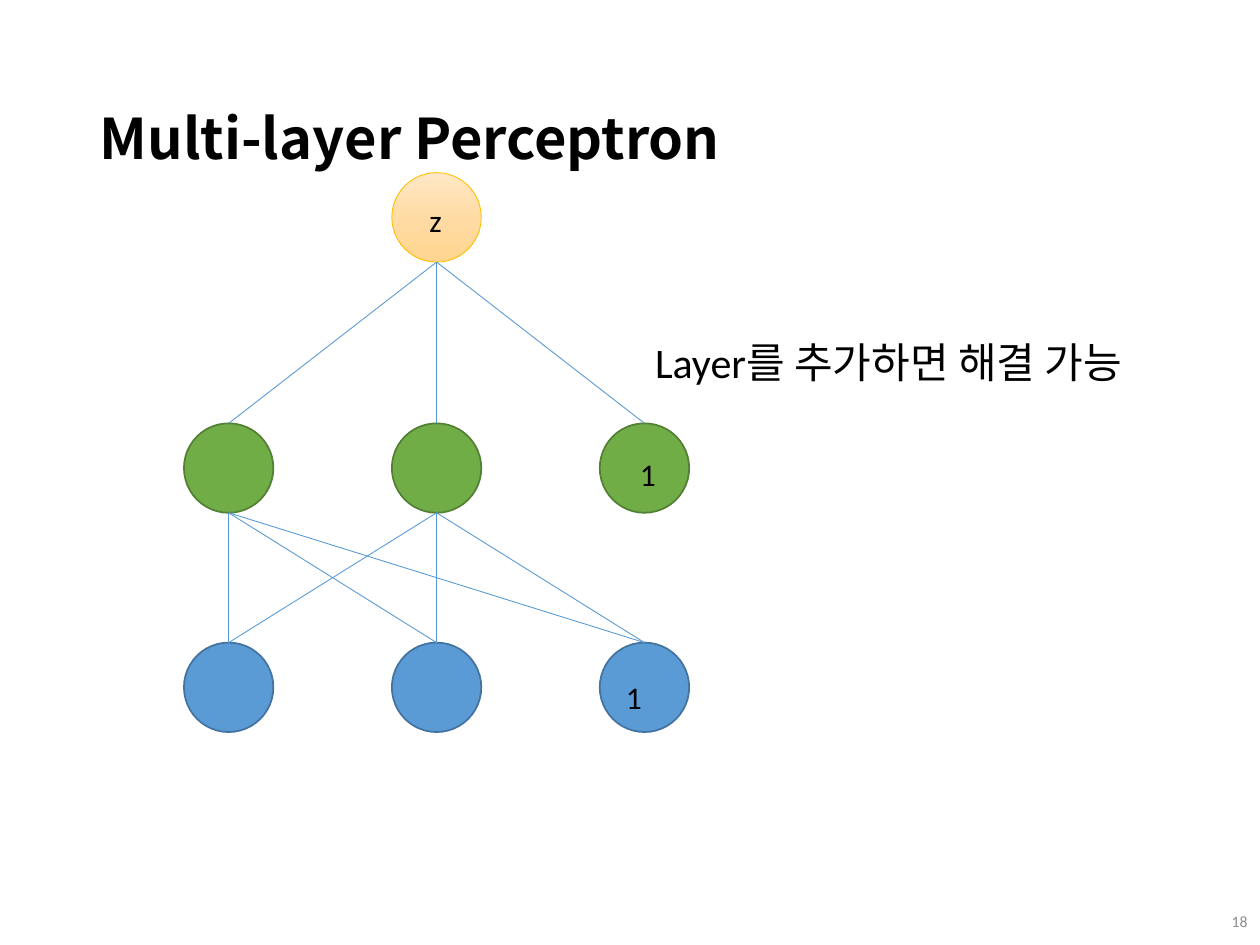
from copy import deepcopy

from lxml.etree import SubElement
from pptx import Presentation
from pptx.dml.color import RGBColor
from pptx.enum.shapes import MSO_CONNECTOR, MSO_SHAPE
from pptx.enum.text import MSO_ANCHOR, MSO_AUTO_SIZE, PP_ALIGN
from pptx.oxml.ns import qn
from pptx.util import Inches, Pt

COLORS = {
    "text": "000000", "page number": "8C8C8C", "link": "5B9BD5",
    "input": "5B9BD5", "input edge": "43739E",
    "hidden": "70AD47", "hidden edge": "538035",
    "output edge": "FFC000",
    "output top": "FFE8C7", "output middle": "FFDBA4", "output bottom": "FFD58F",
}
KOREAN_FONT = "Noto Sans CJK KR"
NODE_SIZE = 0.71
COLUMNS = [1.46, 3.11, 4.76]


def color(name):
    return RGBColor.from_string(COLORS[name])


def add_text(para, text, size, font="Calibri", color_name="text", bold=False):
    span = para.add_run()
    span.text = text
    span.font.size = Pt(size)
    span.font.name = font
    span.font.bold = bold
    span.font.color.rgb = color(color_name)
    SubElement(span.font._element, qn("a:ea"), typeface=KOREAN_FONT)


deck = Presentation()
deck.slide_width, deck.slide_height = Inches(10), Inches(7.5)
page = deck.slides.add_slide(deck.slide_layouts[5])

# Title
title = page.shapes.title
title.left, title.top = Inches(0.69), Inches(0.4)
title.width, title.height = Inches(8.62), Inches(1.45)
title.text_frame.vertical_anchor = MSO_ANCHOR.MIDDLE
para = title.text_frame.paragraphs[0]
para.alignment = PP_ALIGN.LEFT
para.line_spacing = 0.9
add_text(para, "Multi-layer Perceptron", 32, KOREAN_FONT, bold=True)

# Page number
box = page.shapes.add_textbox(Inches(9.46), Inches(7.11), Inches(0.54), Inches(0.4))
box.text_frame.word_wrap = True
box.text_frame.vertical_anchor = MSO_ANCHOR.MIDDLE
para = box.text_frame.paragraphs[0]
para.alignment = PP_ALIGN.RIGHT
add_text(para, "18", 9, color_name="page number")

# Network nodes, one row per layer
layers = {}
for layer, top, columns, edge_width in [
    ("input", 5.1, COLUMNS, 1),
    ("hidden", 3.36, COLUMNS, 1),
    ("output", 1.37, COLUMNS[1:2], 0.5),
]:
    layers[layer] = []
    for left in columns:
        node = page.shapes.add_shape(MSO_SHAPE.OVAL, Inches(left), Inches(top),
                                     Inches(NODE_SIZE), Inches(NODE_SIZE))
        node.shadow.inherit = False
        node.line.color.rgb = color(layer + " edge")
        node.line.width = Pt(edge_width)
        if layer != "output":
            node.fill.solid()
            node.fill.fore_color.rgb = color(layer)
        layers[layer].append(node)

# Three-stop gradient on the output node
output = layers["output"][0]
output.fill.gradient()
output.fill.gradient_angle = 270
stop_list = output._element.spPr.find(qn("a:gradFill")).find(qn("a:gsLst"))
stop_list.insert(1, deepcopy(stop_list[0]))
for stop, position, name in zip(output.fill.gradient_stops, [0, 0.5, 1],
                                ["output top", "output middle", "output bottom"]):
    stop.position = position
    stop.color.rgb = color(name)

# Links from the top of each lower node to the bottom of each upper node
for lower_layer, upper_nodes in [("input", layers["hidden"][:2]),
                                 ("hidden", layers["output"])]:
    for upper in upper_nodes:
        for lower in layers[lower_layer]:
            link = page.shapes.add_connector(
                MSO_CONNECTOR.STRAIGHT,
                lower.left + lower.width // 2, lower.top,
                upper.left + upper.width // 2, upper.top + upper.height)
            link.begin_connect(lower, 0)
            link.line.color.rgb = color("link")
            link.line.width = Pt(0.5)
            SubElement(link._element.spPr, qn("a:effectLst"))

# Node labels and remark
for text, left, top, width, height, size, wrap in [
    ("1", 4.87, 5.33, 0.43, 0.4, 18, True),
    ("1", 4.98, 3.56, 0.34, 0.4, 18, False),
    ("z", 3.31, 1.55, 0.3, 0.4, 18, True),
    ("Layer를 추가하면 해결 가능", 5.1, 2.62, 4.39, 0.5, 24, False),
]:
    box = page.shapes.add_textbox(Inches(left), Inches(top), Inches(width), Inches(height))
    box.text_frame.word_wrap = wrap
    box.text_frame.auto_size = MSO_AUTO_SIZE.SHAPE_TO_FIT_TEXT
    add_text(box.text_frame.paragraphs[0], text, size)

deck.save("out.pptx")
